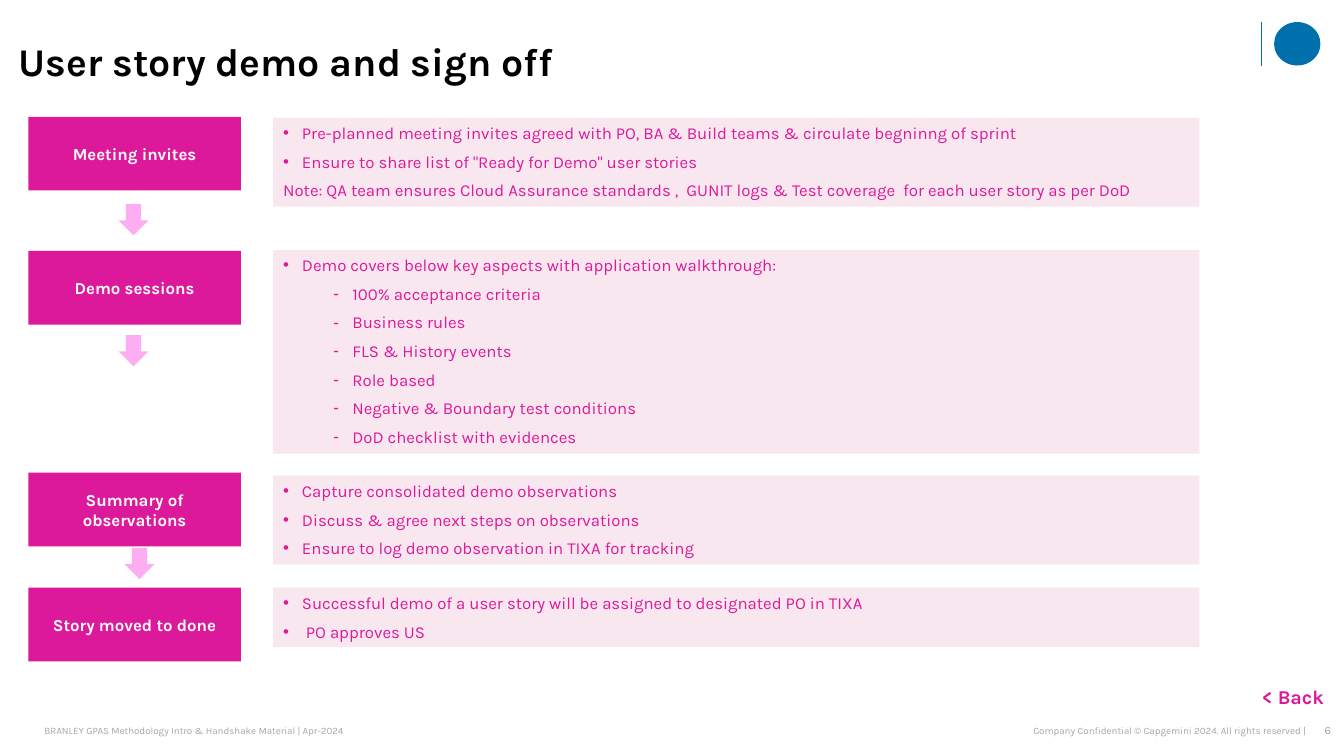
from lxml import etree
from pptx import Presentation
from pptx.dml.color import RGBColor
from pptx.enum import shapes, text
from pptx.oxml import ns
from pptx.util import Pt

PINK = RGBColor(0xDC, 0x19, 0x9B)
PALE = RGBColor(0xF9, 0xE7, 0xEF)
LIGHT = RGBColor(0xFD, 0xAD, 0xF2)
BLUE = RGBColor(0x00, 0x70, 0xAD)
GREY = RGBColor(0xA6, 0xA6, 0xA6)
BLACK = RGBColor(0, 0, 0)
WHITE = RGBColor(0xFF, 0xFF, 0xFF)

LEFT, CENTER, RIGHT = text.PP_ALIGN.LEFT, text.PP_ALIGN.CENTER, text.PP_ALIGN.RIGHT
MIDDLE, TOP = text.MSO_ANCHOR.MIDDLE, text.MSO_ANCHOR.TOP
KIND = shapes.MSO_SHAPE

# Label, label top, panel top, panel height, panel lines.
# A line starts with its mark: "•" bullet, "-" sub-bullet, "" plain.
STEPS = [
    ("Meeting invites", 83.5, 84.2, 63.4, [
        ("•", "Pre-planned meeting invites agreed with PO, BA & Build teams"
              " & circulate begninng of sprint"),
        ("•", 'Ensure to share list of "Ready for Demo" user stories'),
        ("", "Note: QA team ensures Cloud Assurance standards ,  GUNIT logs"
             " & Test coverage  for each user story as per DoD"),
    ]),
    ("Demo sessions", 179.3, 178.6, 145.4, [
        ("•", "Demo covers below key aspects with application walkthrough:"),
        ("-", "100% acceptance criteria"),
        ("-", "Business rules"),
        ("-", "FLS & History events"),
        ("-", "Role based"),
        ("-", "Negative & Boundary test conditions"),
        ("-", "DoD checklist with evidences"),
    ]),
    ("Summary of observations", 337.7, 339.8, 63.4, [
        ("•", "Capture consolidated demo observations"),
        ("•", "Discuss & agree next steps on observations"),
        ("•", "Ensure to log demo observation in TIXA for tracking"),
    ]),
    ("Story moved to done", 419.8, 419.8, 42.5, [
        ("•", "Successful demo of a user story will be assigned to designated PO in TIXA"),
        ("•", " PO approves US"),
    ]),
]
ARROWS = [(84.6, 145.8), (84.6, 239.4), (88.9, 391.3)]


def style(para, size, color, bold=False, align=LEFT):
    para.alignment = align
    font = para.font
    font.name, font.size, font.bold = "Karla", Pt(size), bold
    font.color.rgb = color


def block(slide, kind, x, y, w, h, color):
    shape = slide.shapes.add_shape(kind, Pt(x), Pt(y), Pt(w), Pt(h))
    shape.shadow.inherit = False
    shape.fill.solid()
    shape.fill.fore_color.rgb = color
    shape.line.fill.background()
    return shape


def bullet(para, mark):
    props = para._p.get_or_add_pPr()
    para.level = 1 if mark == "-" else 0
    props.set("marL", str(Pt(49.5 if mark == "-" else 13.5)))
    props.set("indent", str(-Pt(13.5)))
    etree.SubElement(props, ns.qn("a:buFont")).set("typeface", "Arial")
    etree.SubElement(props, ns.qn("a:buChar")).set("char", mark)


def label(slide, words, y):
    shape = block(slide, KIND.RECTANGLE, 20.2, y, 151.9, 52.6, PINK)
    frame = shape.text_frame
    frame.word_wrap, frame.vertical_anchor = True, MIDDLE
    frame.text = words
    style(frame.paragraphs[0], 12, WHITE, True, CENTER)


def panel(slide, y, h, lines):
    shape = block(slide, KIND.RECTANGLE, 195.1, y, 661.7, h, PALE)
    frame = shape.text_frame
    frame.word_wrap, frame.vertical_anchor = True, TOP
    for i, (mark, words) in enumerate(lines):
        para = frame.add_paragraph() if i else frame.paragraphs[0]
        para.text = words
        para.space_before, para.space_after = Pt(3 if i else 0), Pt(3)
        if mark:
            bullet(para, mark)
        style(para, 12, PINK)


def note(slide, words, x, y, w, h, size, color, align, bold=False, pad=0, anchor=MIDDLE):
    frame = slide.shapes.add_textbox(Pt(x), Pt(y), Pt(w), Pt(h)).text_frame
    frame.word_wrap, frame.vertical_anchor = True, anchor
    frame.margin_left = frame.margin_right = Pt(pad)
    frame.margin_top = frame.margin_bottom = Pt(3.6 if anchor == TOP else 0)
    frame.text = words
    style(frame.paragraphs[0], size, color, bold, align)


def rule(slide, x, top, end):
    line = slide.shapes.add_connector(
        shapes.MSO_CONNECTOR.STRAIGHT, Pt(x), Pt(top), Pt(x), Pt(end))
    line.line.color.rgb, line.line.width = BLUE, Pt(0.5)
    etree.SubElement(line._element.spPr, ns.qn("a:effectLst"))


def head(slide, words):
    title = slide.shapes.title
    title.left, title.top, title.width, title.height = Pt(0), Pt(25.2), Pt(564.5), Pt(40.3)
    frame = title.text_frame
    frame.text = words
    frame.word_wrap, frame.vertical_anchor = True, MIDDLE
    frame.auto_size = text.MSO_AUTO_SIZE.NONE
    frame.margin_left = Pt(13.5)
    frame.margin_top = frame.margin_right = frame.margin_bottom = 0
    para = frame.paragraphs[0]
    para.line_spacing = 0.9
    style(para, 28, BLACK, True)


def main():
    deck = Presentation()
    deck.slide_width, deck.slide_height = Pt(960), Pt(540)
    slide = deck.slides.add_slide(deck.slide_layouts[5])

    # Title and corner emblem
    head(slide, "User story demo and sign off")
    rule(slide, 900.7, 15.8, 46.8)
    block(slide, KIND.OVAL, 910.1, 15.8, 33.1, 31, BLUE)

    # Process steps and their details
    for words, y, top, h, lines in STEPS:
        label(slide, words, y)
        panel(slide, top, h, lines)
    for x, y in ARROWS:
        block(slide, KIND.DOWN_ARROW, x, y, 21.6, 22.3, LIGHT)

    # Back mark and footer
    note(slide, "< Back", 887, 486, 73.4, 24.5, 14, PINK, CENTER, True, 7.2, TOP)
    note(slide, "BRANLEY GPAS Methodology Intro & Handshake Material | Apr-2024",
         31.7, 513.4, 268.6, 17.3, 7, GREY, LEFT)
    note(slide, "Company Confidential © Capgemini 2024. All rights reserved |",
         568.8, 513.4, 364, 17.3, 7, GREY, RIGHT)
    note(slide, "6", 932.8, 513.4, 18, 17.3, 8, GREY, RIGHT, anchor=TOP)

    deck.save("out.pptx")


if __name__ == "__main__":
    main()
